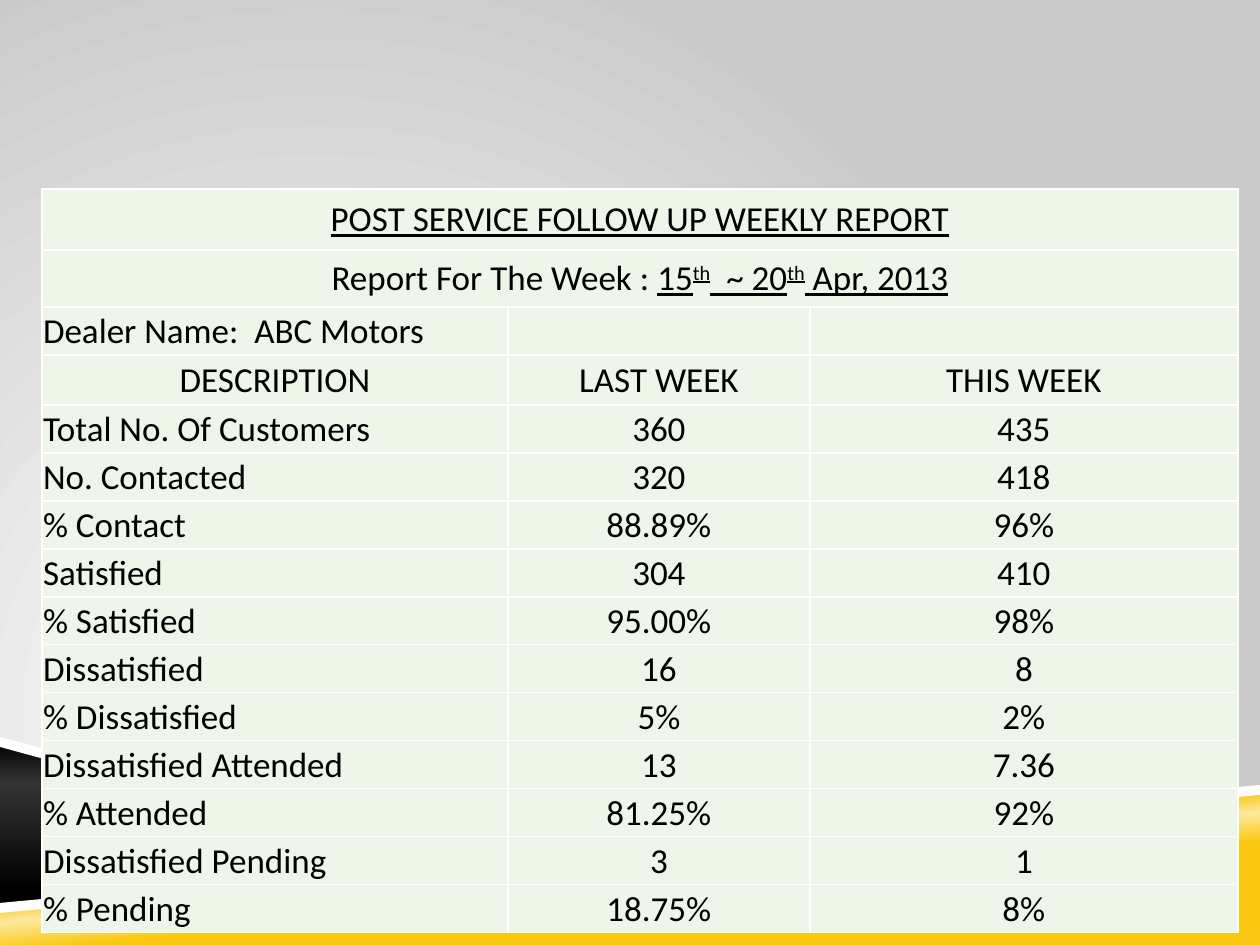
from dataclasses import dataclass
from typing import Any

from lxml import etree
from pptx import Presentation
from pptx import util as u
from pptx.dml import color
from pptx.enum import text
from pptx.oxml import ns, parse_xml

PX = 914400 / 126
DRAWING = ns.nsdecls("a")


def px(length):
    return u.Emu(round(length * PX))


def rgb(value):
    return color.RGBColor.from_string(value)


def gradient(stops, direction):
    marks = "".join(
        f'<a:gs pos="{position * 1000}"><a:srgbClr val="{value}"/></a:gs>'
        for position, value in stops
    )
    return parse_xml(
        f'<a:gradFill {DRAWING} rotWithShape="1"><a:gsLst>{marks}</a:gsLst>{direction}</a:gradFill>'
    )


def linear(angle):
    return f'<a:lin ang="{angle * 60000}" scaled="0"/>'


def swap_solid(properties, new_fill):
    solid = properties.find(ns.qn("a:solidFill"))
    properties.replace(solid, new_fill)


@dataclass
class ReportSlide:
    """Holds the report style and the slide being filled."""

    slide: Any
    font: str = "Calibri"
    size: int = 20
    ink: str = "000000"
    cell_fill: str = "EDF6E8"
    border: str = "FFFFFF"

    def background(self, stops):
        fill = self.slide.background.fill
        fill.solid()
        properties = self.slide.element.cSld.find(ns.qn("p:bg")).find(ns.qn("p:bgPr"))
        focus = '<a:path path="circle"><a:fillToRect l="50000" t="100000" r="100000" b="50000"/></a:path>'
        swap_solid(properties, gradient(stops, focus))

    def band(self, points, solid="FFFFFF", stops=None, angle=90):
        builder = self.slide.shapes.build_freeform(*points[0], scale=PX)
        builder.add_line_segments(points[1:], close=True)
        shape = builder.convert_to_shape()
        shape.shadow.inherit = False
        shape.line.fill.background()
        shape.fill.solid()
        shape.fill.fore_color.rgb = rgb(solid)
        if stops:
            swap_solid(shape.element.spPr, gradient(stops, linear(angle)))

    def cell_style(self, cell):
        cell.margin_left = cell.margin_right = cell.margin_top = px(1)
        cell.margin_bottom = 0
        cell.vertical_anchor = text.MSO_ANCHOR.MIDDLE
        properties = cell._tc.get_or_add_tcPr()
        for side in ("lnL", "lnR", "lnT", "lnB"):
            line = etree.SubElement(properties, ns.qn(f"a:{side}"), w="12700")
            fill = etree.SubElement(line, ns.qn("a:solidFill"))
            etree.SubElement(fill, ns.qn("a:srgbClr"), val=self.border)
        cell.fill.solid()
        cell.fill.fore_color.rgb = rgb(self.cell_fill)

    def cell_text(self, cell, runs, centred):
        paragraph = cell.text_frame.paragraphs[0]
        paragraph.alignment = text.PP_ALIGN.CENTER if centred else text.PP_ALIGN.LEFT
        for words, underline, raised in runs:
            run = paragraph.add_run()
            run.text = words
            run.font.name = self.font
            run.font.size = u.Pt(self.size)
            run.font.color.rgb = rgb(self.ink)
            run.font.underline = underline
            if raised:
                run.font._element.set("baseline", "30000")

    def table(self, left, top, widths, heights, headings, rows):
        frame = self.slide.shapes.add_table(
            len(heights), len(widths), px(left), px(top), px(sum(widths)), px(sum(heights))
        )
        table = frame.table
        table.first_row = table.horz_banding = False
        for column, width in zip(table.columns, widths):
            column.width = px(width)
        for row, height in zip(table.rows, heights):
            row.height = px(height)
        for cell in table.iter_cells():
            self.cell_style(cell)
        for index, runs in enumerate(headings):
            table.cell(index, 0).merge(table.cell(index, len(widths) - 1))
            self.cell_text(table.cell(index, 0), runs, True)
        for index, values in enumerate(rows, len(headings)):
            for column, value in enumerate(values):
                centred = column > 0 or value == "DESCRIPTION"
                self.cell_text(table.cell(index, column), [(value, False, False)], centred)


HEADINGS = [
    [("POST SERVICE FOLLOW UP WEEKLY REPORT", True, False)],
    [
        ("Report For The Week : ", False, False),
        ("15", True, False),
        ("th", True, True),
        ("  ~ 20", True, False),
        ("th", True, True),
        (" Apr, 2013", True, False),
    ],
]
ROWS = [
    ("Dealer Name:  ABC Motors",),
    ("DESCRIPTION", "LAST WEEK", "THIS WEEK"),
    ("Total No. Of Customers", "360", "435"),
    ("No. Contacted", "320", "418"),
    ("% Contact", "88.89%", "96%"),
    ("Satisfied", "304", "410"),
    ("% Satisfied", "95.00%", "98%"),
    ("Dissatisfied", "16", "8"),
    ("% Dissatisfied", "5%", "2%"),
    ("Dissatisfied Attended", "13", "7.36"),
    ("% Attended", "81.25%", "92%"),
    ("Dissatisfied Pending", "3", "1"),
    ("% Pending", "18.75%", "8%"),
]


def main():
    presentation = Presentation()
    presentation.slide_width, presentation.slide_height = px(1260), px(945)
    report = ReportSlide(presentation.slides.add_slide(presentation.slide_layouts[6]))
    report.background([(0, "FFFFFF"), (100, "CACACA")])
    report.band(
        [(0, 908), (1260, 790), (1260, 945), (0, 945)],
        stops=[(39, "FAC810"), (50, "FDE99F"), (58, "FAC810")],
        angle=265,
    )
    report.band(
        [(0, 742), (452, 863), (0, 908)],
        stops=[(0, "000000"), (24, "333333"), (90, "000000")],
    )
    report.band([(1260, 785), (0, 903), (0, 913), (1260, 795)])
    report.band([(0, 737), (0, 747), (441, 867), (472, 864)])
    heights = [61, 57, 48, 50] + [48] * 11
    report.table(42, 189, [466, 302, 428], heights, HEADINGS, ROWS)
    presentation.save("out.pptx")


if __name__ == "__main__":
    main()
